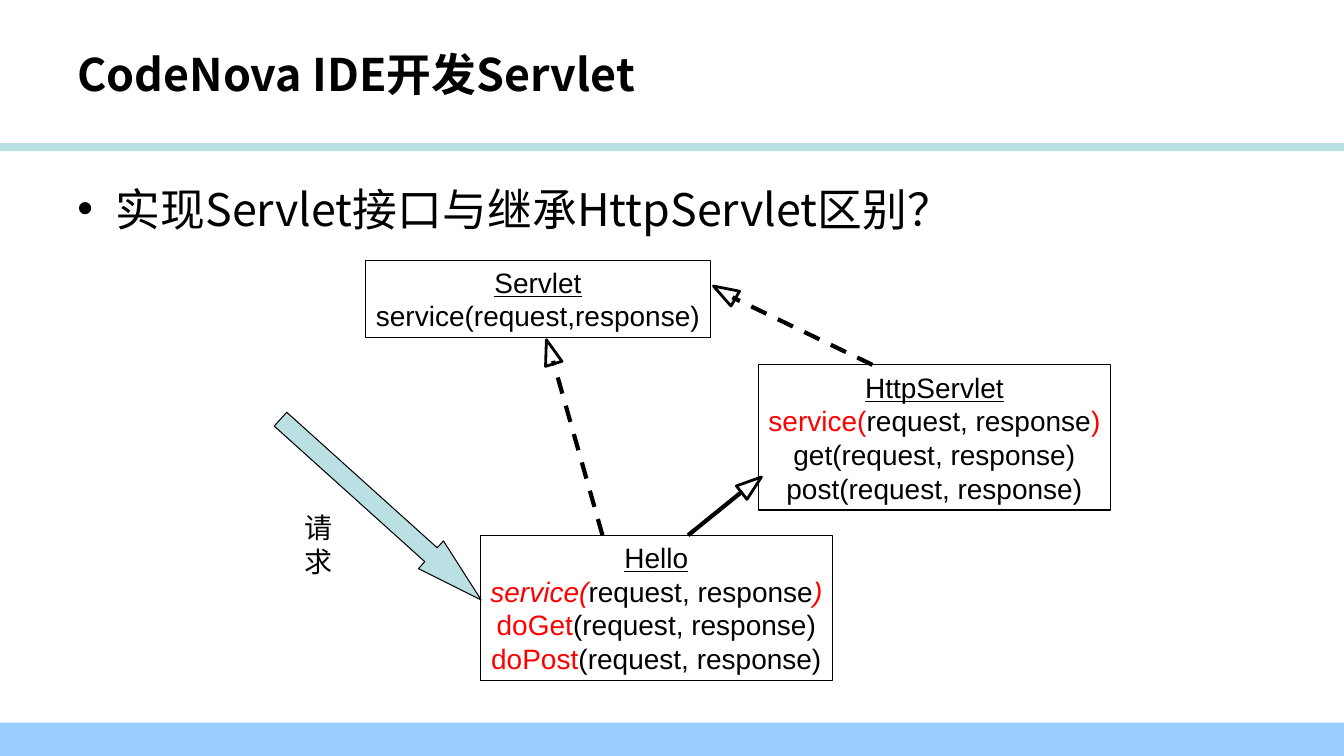
from dataclasses import dataclass

from lxml.etree import SubElement as Sub
from pptx import Presentation
from pptx.dml.color import RGBColor as Color
from pptx.enum.dml import MSO_LINE as Dash
from pptx.enum.shapes import MSO_CONNECTOR as Link, MSO_SHAPE as Form
from pptx.enum.text import MSO_ANCHOR as Anchor, PP_ALIGN as Align
from pptx.oxml.ns import qn
from pptx.util import Inches, Pt


@dataclass(frozen=True)
class Theme:
    """Colours, fonts and sizes in points."""
    ink: str = "000000"
    red: str = "FF0000"
    teal: str = "BBE0E3"
    blue: str = "99CCFF"
    sans: str = "Arial"
    han: str = "Noto Sans CJK SC"
    head: int = 32
    body: int = 20
    thin: float = 0.75
    edge: float = 2
    bold: float = 3


THEME = Theme()
WIDE, HIGH = 13.34, 7.5
ARGS = "(request, response)"
CALL = ("service(", "request, response", ")")
CLASSES = [
    ((1.19, 0, 3.42, 0.77), "Servlet", [[("service(request,response)", "")]]),
    ((5.09, 1.04, 3.49, 1.44), "HttpServlet",
     [list(zip(CALL, ("r", "", "r"))), [("get" + ARGS, "")], [("post" + ARGS, "")]]),
    ((2.33, 2.73, 3.49, 1.44), "Hello",
     [list(zip(CALL, ("ri", "", "ri"))), [("doGet", "r"), (ARGS, "")],
      [("doPost", "r"), (ARGS, "")]]),
]
LINKS = [
    ((6.22, 1.04), (4.83, 0.37), True, (4.75, 0.32), 300),
    ((4.39, 2.73), (4.91, 2.31), False, (5.02, 2.23), 51.7),
    ((3.54, 2.73), (3.05, 1.0), True, (3.02, 0.91), 343),
]


def place(box, x, y, wide, high):
    """Return lengths for a part set inside a box."""
    return [Inches(n) for n in (box[0] + x, box[1] + y, wide, high)]


def style(run, size, font, marks=""):
    """Format a run; marks: r red, i italic, u underlined, b bold."""
    face = run.font
    face.size, face.name = Pt(size), font
    face.color.rgb = Color.from_string(THEME.red if "r" in marks else THEME.ink)
    face.italic, face.underline, face.bold = (m in marks for m in "iub")
    Sub(run._r.get_or_add_rPr(), qn("a:ea")).set("typeface", THEME.han)


def form(slide, kind, area, fill=None, line=None):
    """Add a preset shape, hollow unless it has a fill."""
    shape = slide.shapes.add_shape(kind, *area)
    shape.shadow.inherit = False
    if fill:
        shape.fill.solid()
        shape.fill.fore_color.rgb = Color.from_string(fill)
    else:
        shape.fill.background()
    if line:
        shape.line.color.rgb = Color.from_string(THEME.ink)
        shape.line.width = Pt(line)
    else:
        shape.line.fill.background()
    return shape


def label(slide, area, text, size, font, marks="", wrap=True):
    """Add a text box of one line and return its frame."""
    frame = slide.shapes.add_textbox(*area).text_frame
    frame.word_wrap = wrap
    frame.text = text
    style(frame.paragraphs[0].runs[0], size, font, marks)
    return frame


def bands(slide, box):
    """Draw the rule below the title and the foot band."""
    form(slide, Form.RECTANGLE, place(box, 0, 1.42, WIDE, 0.08), THEME.teal)
    form(slide, Form.RECTANGLE, place(box, 0, 7.17, WIDE, 0.33), THEME.blue)


def title(slide, box):
    """Write the slide title."""
    frame = label(slide, place(box, 0, 0, *box[2:]), "CodeNova IDE开发Servlet",
                  THEME.head, THEME.han, "b")
    frame.vertical_anchor = Anchor.MIDDLE


def topic(slide, box):
    """Write the bulleted question."""
    frame = label(slide, place(box, 0, 0, *box[2:]),
                  "实现Servlet接口与继承HttpServlet区别？", THEME.head, THEME.han)
    para = frame.paragraphs[0]
    para.space_before = Pt(8)
    props = para._p.get_or_add_pPr()
    props.set("marL", str(Inches(0.38)))
    props.set("indent", str(-Inches(0.38)))
    Sub(props, qn("a:buFont")).set("typeface", THEME.sans)
    Sub(props, qn("a:buChar")).set("char", "•")


def card(slide, area, name, rows):
    """Draw a class box with its name and methods."""
    frame = form(slide, Form.RECTANGLE, area, line=THEME.thin).text_frame
    frame.word_wrap = False
    for i, row in enumerate([[(name, "u")], *rows]):
        para = frame.paragraphs[0] if i == 0 else frame.add_paragraph()
        para.alignment = Align.CENTER
        for text, marks in row:
            run = para.add_run()
            run.text = text
            style(run, THEME.body, THEME.sans, marks)


def link(slide, box, start, end, dashed, mid, turn):
    """Draw a class relation with its hollow head."""
    ends = place(box, *start, 0, 0)[:2] + place(box, *end, 0, 0)[:2]
    line = slide.shapes.add_connector(Link.STRAIGHT, *ends)
    line.line.color.rgb = Color.from_string(THEME.ink)
    line.line.width = Pt(THEME.bold)
    if dashed:
        line.line.dash_style = Dash.DASH
    Sub(line._element.spPr, qn("a:effectLst"))
    wide, high = 0.17, 0.25
    area = place(box, mid[0] - wide / 2, mid[1] - high / 2, wide, high)
    form(slide, Form.ISOSCELES_TRIANGLE, area, line=THEME.edge).rotation = turn


def diagram(slide, box):
    """Draw the classes, their relations and the request arrow."""
    for part, name, rows in CLASSES:
        card(slide, place(box, *part), name, rows)
    arrow = form(slide, Form.LEFT_ARROW, place(box, 0, 2.29, 2.68, 0.37),
                 THEME.teal, THEME.thin)
    arrow.adjustments[0], arrow.adjustments[1] = 0.5, 1.81
    arrow.rotation = 222
    label(slide, place(box, 0.48, 2.44, 0.75, 0.44), "请求",
          THEME.body, THEME.sans, wrap=False)
    for part in LINKS:
        link(slide, box, *part)


def main():
    """Build and save the slide."""
    deck = Presentation()
    deck.slide_width, deck.slide_height = Inches(WIDE), Inches(HIGH)
    slide = deck.slides.add_slide(deck.slide_layouts[6])
    bands(slide, (0, 0, WIDE, HIGH))
    title(slide, (0.67, 0.3, 10.67, 0.87))
    topic(slide, (0.67, 1.75, 12, 4.95))
    diagram(slide, (2.44, 2.58, 8.58, 4.17))
    deck.save("out.pptx")


if __name__ == "__main__":
    main()
